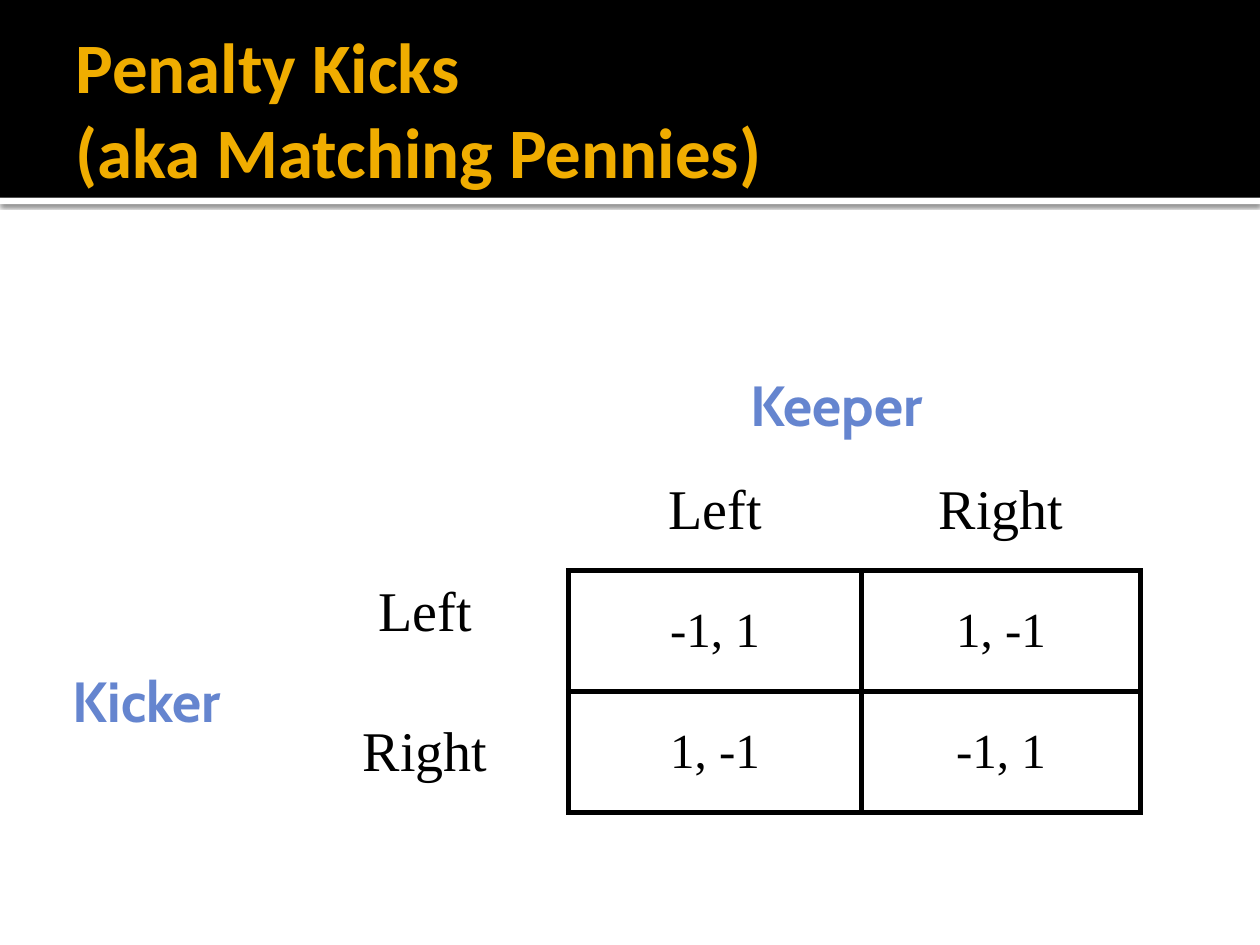
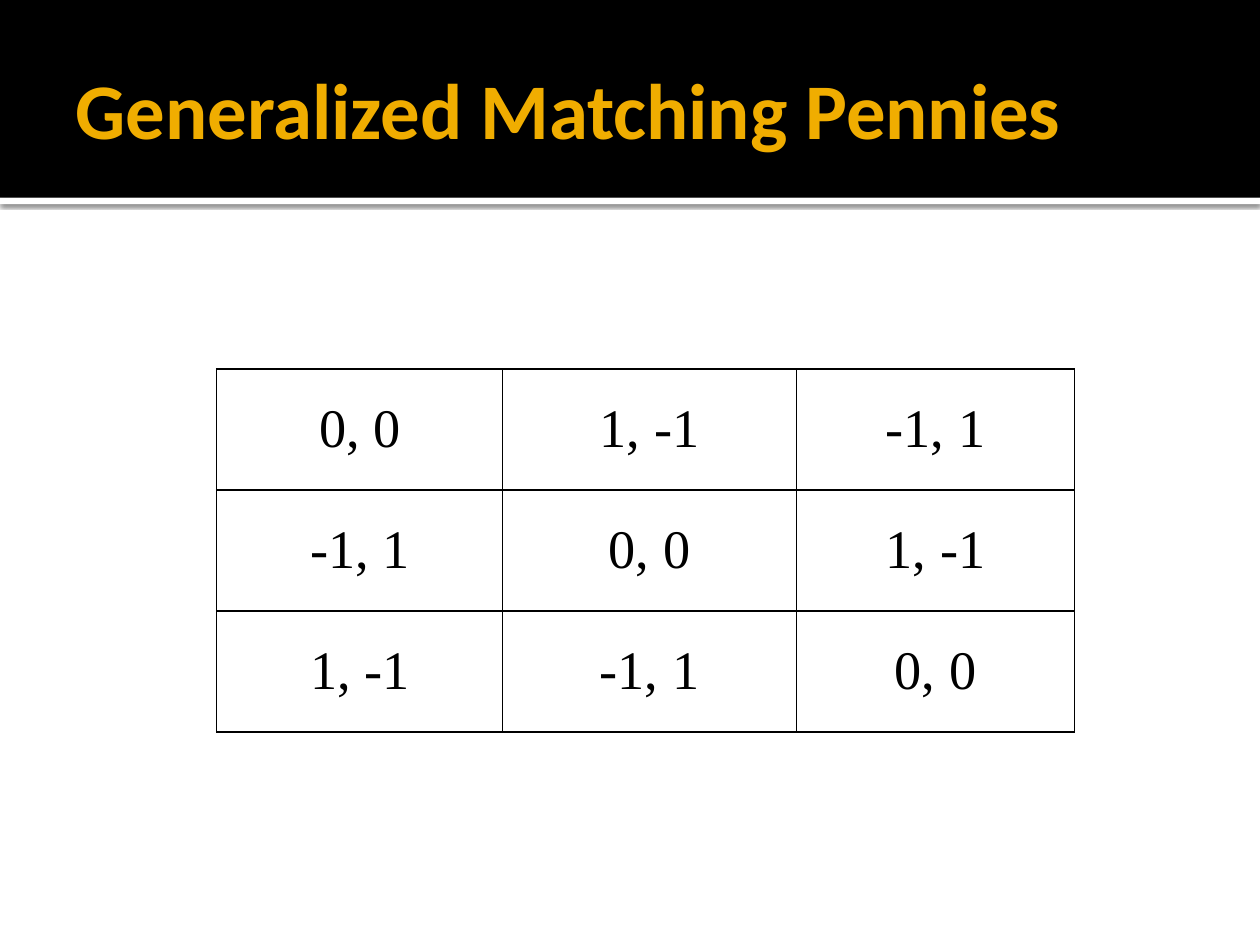
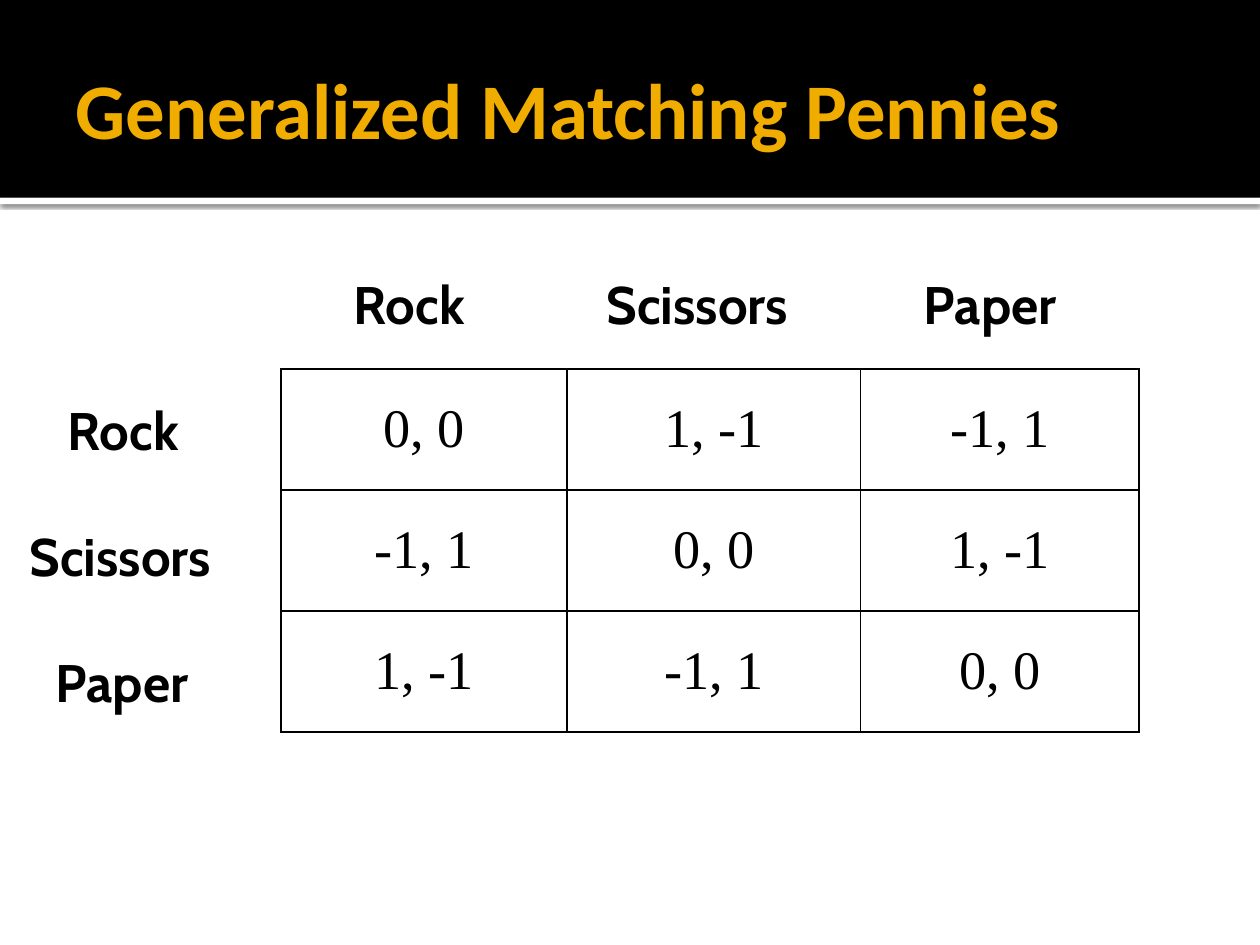
"""Build three slides on penalty kicks and generalized matching pennies."""
import dataclasses

import lxml.etree
import pptx
import pptx.dml.color
import pptx.enum.shapes
import pptx.enum.text
import pptx.oxml.ns
import pptx.presentation
import pptx.shapes.autoshape
import pptx.slide
import pptx.table
import pptx.text.text
import pptx.util
from pptx.util import Inches

COLORS = {"black": "000000", "white": "FFFFFF", "gold": "F0AD00", "blue": "6585CF"}
TITLE_FONT, LABEL_FONT, TABLE_FONT = "Calibri", "Cabin", "Times New Roman"
COLUMN_WIDTHS = (2.27, 2.33, 2.21)
ROW_HEIGHT = 0.96
EDGES = "LRTB"

PENALTY_GAME = [
    ["", "Left", "Right"],
    ["Left", "-1, 1", "1, -1"],
    ["Right", "1, -1", "-1, 1"],
]
ROCK_SCISSORS_PAPER = [
    ["0, 0", "1, -1", "-1, 1"],
    ["-1, 1", "0, 0", "1, -1"],
    ["1, -1", "-1, 1", "0, 0"],
]
MOVE_WIDTHS = {"Rock": 1.28, "Scissors": 1.89, "Paper": 1.47}


@dataclasses.dataclass
class Label:
    text: str
    left: float
    top: float
    width: float
    height: float
    size: float
    color: str


@dataclasses.dataclass
class Game:
    payoffs: list[list[str]]
    left: float
    top: float
    size: float
    line_width: float
    has_headings: bool = False


def style_font(paragraph: pptx.text.text._Paragraph, name: str, size: float,
               color: str, bold: bool = False) -> None:
    font = paragraph.font
    font.name, font.size, font.bold = name, pptx.util.Pt(size), bold
    font.color.rgb = pptx.dml.color.RGBColor.from_string(COLORS[color])


def add_band(slide: pptx.slide.Slide, top: float, height: float,
             color: str) -> pptx.shapes.autoshape.Shape:
    band = slide.shapes.add_shape(pptx.enum.shapes.MSO_SHAPE.RECTANGLE, Inches(0),
                                  Inches(top), Inches(10), Inches(height))
    band.shadow.inherit = False
    band.fill.solid()
    band.fill.fore_color.rgb = pptx.dml.color.RGBColor.from_string(COLORS[color])
    band.line.fill.background()
    return band


def add_soft_shadow(shape: pptx.shapes.autoshape.Shape) -> None:
    qn = pptx.oxml.ns.qn
    effects = shape._element.spPr.find(qn("a:effectLst"))
    shadow = lxml.etree.SubElement(
        effects, qn("a:outerShdw"), blurRad=str(pptx.util.Pt(2.5)),
        dist=str(pptx.util.Pt(0.8)), dir="5400000", algn="t", rotWithShape="0")
    color = lxml.etree.SubElement(shadow, qn("a:srgbClr"), val=COLORS["black"])
    lxml.etree.SubElement(color, qn("a:alpha"), val="60000")


def add_titled_slide(presentation: pptx.presentation.Presentation, title: str,
                     size: float) -> pptx.slide.Slide:
    slide = presentation.slides.add_slide(presentation.slide_layouts[6])
    add_soft_shadow(add_band(slide, 1.57, 0.05, "white"))
    add_band(slide, 0, 1.57, "black")
    box = slide.shapes.add_textbox(Inches(0.5), Inches(0.17), Inches(9), Inches(1.37))
    frame = box.text_frame
    frame.word_wrap = True
    frame.vertical_anchor = pptx.enum.text.MSO_ANCHOR.MIDDLE
    frame.margin_right = Inches(0.05)
    paragraph = frame.paragraphs[0]
    paragraph.text = title
    style_font(paragraph, TITLE_FONT, size, "gold", bold=True)
    return slide


def add_label(slide: pptx.slide.Slide, label: Label) -> None:
    box = slide.shapes.add_textbox(Inches(label.left), Inches(label.top),
                                   Inches(label.width), Inches(label.height))
    frame = box.text_frame
    frame.word_wrap = False
    frame.auto_size = pptx.enum.text.MSO_AUTO_SIZE.SHAPE_TO_FIT_TEXT
    paragraph = frame.paragraphs[0]
    paragraph.text = label.text
    style_font(paragraph, LABEL_FONT, label.size, label.color, bold=True)


def set_borders(cell: pptx.table._Cell, drawn_edges: str, width: float) -> None:
    qn = pptx.oxml.ns.qn
    properties = cell._tc.get_or_add_tcPr()
    for edge in EDGES:
        line = lxml.etree.SubElement(properties, qn(f"a:ln{edge}"),
                                     w=str(pptx.util.Pt(width)))
        if edge in drawn_edges:
            fill = lxml.etree.SubElement(line, qn("a:solidFill"))
            lxml.etree.SubElement(fill, qn("a:srgbClr"), val=COLORS["black"])
        else:
            lxml.etree.SubElement(line, qn("a:noFill"))


def heading_edges(row: int, column: int) -> str:
    if row == column == 0:
        return ""
    return "B" if row == 0 else "R"


def add_game(slide: pptx.slide.Slide, game: Game) -> pptx.table.Table:
    rows = len(game.payoffs)
    table = slide.shapes.add_table(
        rows, len(COLUMN_WIDTHS), Inches(game.left), Inches(game.top),
        Inches(sum(COLUMN_WIDTHS)), Inches(ROW_HEIGHT * rows)).table
    table.first_row = table.horz_banding = False
    for column, width in zip(table.columns, COLUMN_WIDTHS):
        column.width = Inches(width)
    for row_index, texts in enumerate(game.payoffs):
        table.rows[row_index].height = Inches(ROW_HEIGHT)
        for column_index, text in enumerate(texts):
            is_heading = game.has_headings and 0 in (row_index, column_index)
            edges = heading_edges(row_index, column_index) if is_heading else EDGES
            cell = table.cell(row_index, column_index)
            set_borders(cell, edges, game.line_width)
            cell.fill.background()
            cell.vertical_anchor = pptx.enum.text.MSO_ANCHOR.MIDDLE
            paragraph = cell.text_frame.paragraphs[0]
            paragraph.text = text
            paragraph.alignment = pptx.enum.text.PP_ALIGN.CENTER
            style_font(paragraph, TABLE_FONT, 32 if is_heading else game.size, "black")
    return table


def add_move_labels(slide: pptx.slide.Slide) -> None:
    for index, (move, width) in enumerate(MOVE_WIDTHS.items()):
        row_left = 1.08 - width / 2
        column_left = 3.35 + 2.31 * index - width / 2
        for left, top in ((row_left, 3.11 + index), (column_left, 2.11)):
            add_label(slide, Label(move, left, top, width, 0.61, 30.2, "black"))


def main() -> None:
    presentation = pptx.Presentation()
    presentation.slide_width, presentation.slide_height = Inches(10), Inches(7.5)

    slide = add_titled_slide(presentation, "Penalty Kicks\v(aka Matching Pennies)", 40.5)
    table = add_game(slide, Game(PENALTY_GAME, 2.24, 3.57, 28, 3, has_headings=True))
    table.cell(1, 0).margin_bottom = Inches(0.35)
    add_label(slide, Label("Keeper", 5.86, 2.89, 1.88, 0.65, 32.3, "blue"))
    add_label(slide, Label("Kicker", 0.48, 5.24, 1.7, 0.65, 32.3, "blue"))

    slide = add_titled_slide(presentation, "Generalized Matching Pennies", 45)
    add_game(slide, Game(ROCK_SCISSORS_PAPER, 1.72, 2.93, 31, 1))

    slide = add_titled_slide(presentation, "Generalized Matching Pennies", 45)
    add_game(slide, Game(ROCK_SCISSORS_PAPER, 2.23, 2.93, 31, 1))
    add_move_labels(slide)

    presentation.save("out.pptx")


if __name__ == "__main__":
    main()
